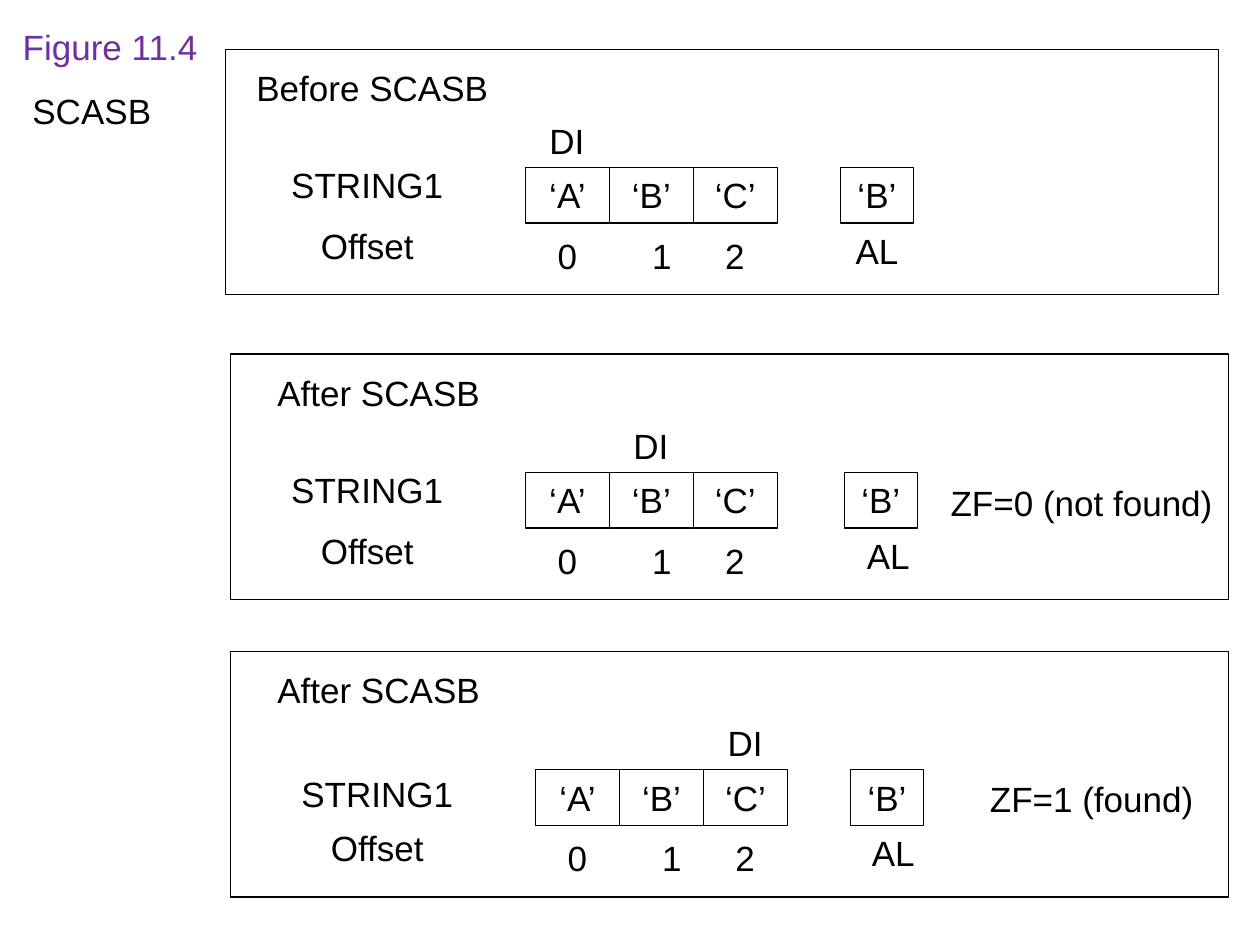
from dataclasses import dataclass

from pptx import Presentation
from pptx.dml.color import RGBColor
from pptx.enum.shapes import MSO_SHAPE
from pptx.enum.text import MSO_ANCHOR, MSO_AUTO_SIZE, PP_ALIGN
from pptx.util import Inches, Pt

BLACK = RGBColor(0x00, 0x00, 0x00)
PURPLE = RGBColor(0x70, 0x30, 0xA0)
FONT = "Arial"
ROW_HEIGHT = 0.44
CELL_WIDTH = 2 / 3
REGISTER_WIDTH = 0.58
LABEL_WIDTH = 1.83
CHARACTERS = ("‘A’", "‘B’", "‘C’")
OFFSET_SHIFTS = (0, 0.75, 1.33)


@dataclass
class Panel:
    heading: str
    heading_left: float
    frame_left: float
    frame_width: float
    row_top: float
    string_left: float
    label_rise: float
    di_index: int
    register_left: float
    register_name_left: float
    flag: str = ""
    flag_left: float = 0
    flag_drop: float = 0


PANELS = (
    Panel("Before SCASB", 1.83, 1.79, 7.88, 1.33, 4.17, 0.08, 0, 6.67, 6.67),
    Panel("After SCASB", 1.88, 1.83, 7.92, 3.75, 4.17, 0.08, 1, 6.7, 6.76,
          "ZF=0 (not found)", 7.42, 0.02),
    Panel("After SCASB", 1.88, 1.83, 7.92, 6.11, 4.25, 0.03, 2, 6.75, 6.8,
          "ZF=1 (found)", 7.5, 0.01),
)


def write_line(paragraph, text, color=BLACK, align=PP_ALIGN.CENTER):
    paragraph.alignment = align
    paragraph.space_before = Pt(12.5)
    run = paragraph.add_run()
    run.text = text
    run.font.name = FONT
    run.font.size = Pt(20)
    run.font.color.rgb = color


def prepare_frame(frame):
    frame.word_wrap = True
    frame.auto_size = MSO_AUTO_SIZE.SHAPE_TO_FIT_TEXT
    frame.vertical_anchor = MSO_ANCHOR.TOP


def add_label(slide, text, left, top, width):
    label = slide.shapes.add_textbox(
        Inches(left), Inches(top), Inches(width), Inches(ROW_HEIGHT))
    prepare_frame(label.text_frame)
    write_line(label.text_frame.paragraphs[0], text)


def add_outline(slide, left, top, width, height):
    outline = slide.shapes.add_shape(
        MSO_SHAPE.RECTANGLE, Inches(left), Inches(top), Inches(width), Inches(height))
    outline.shadow.inherit = False
    outline.fill.background()
    outline.line.color.rgb = BLACK
    outline.line.width = Pt(0.75)
    return outline


def add_cell(slide, text, left, top, width):
    cell = add_outline(slide, left, top, width, ROW_HEIGHT)
    prepare_frame(cell.text_frame)
    write_line(cell.text_frame.paragraphs[0], text)


def add_title(slide):
    title = slide.shapes.title
    title.left, title.top = Inches(0.08), Inches(0.15)
    title.width, title.height = Inches(1.67), Inches(0.94)
    frame = title.text_frame
    prepare_frame(frame)
    write_line(frame.paragraphs[0], "Figure 11.4", PURPLE, PP_ALIGN.LEFT)
    write_line(frame.add_paragraph(), " SCASB", BLACK, PP_ALIGN.LEFT)


def add_panel(slide, panel):
    top, left = panel.row_top, panel.string_left
    add_outline(slide, panel.frame_left, top - 0.94, panel.frame_width, 1.95)
    add_label(slide, panel.heading, panel.heading_left, top - 0.85, 2.25)
    add_label(slide, "DI", left + 0.08 + panel.di_index * CELL_WIDTH, top - 0.43, 0.5)

    label_left = left - 2.17
    add_label(slide, "STRING1", label_left, top - panel.label_rise, LABEL_WIDTH)
    add_label(slide, "Offset", label_left, top + 0.4, LABEL_WIDTH)

    for index, (character, shift) in enumerate(zip(CHARACTERS, OFFSET_SHIFTS)):
        add_cell(slide, character, left + index * CELL_WIDTH, top, CELL_WIDTH)
        add_label(slide, str(index), left + shift, top + 0.48, CELL_WIDTH)

    add_cell(slide, "‘B’", panel.register_left, top, REGISTER_WIDTH)
    add_label(slide, "AL", panel.register_name_left, top + 0.44, REGISTER_WIDTH)
    if panel.flag:
        add_label(slide, panel.flag, panel.flag_left, top + panel.flag_drop, 2.33)


def main():
    deck = Presentation()
    deck.slide_width, deck.slide_height = Inches(10), Inches(7.5)
    slide = deck.slides.add_slide(deck.slide_layouts[5])
    add_title(slide)
    for panel in PANELS:
        add_panel(slide, panel)
    deck.save("out.pptx")


if __name__ == "__main__":
    main()
